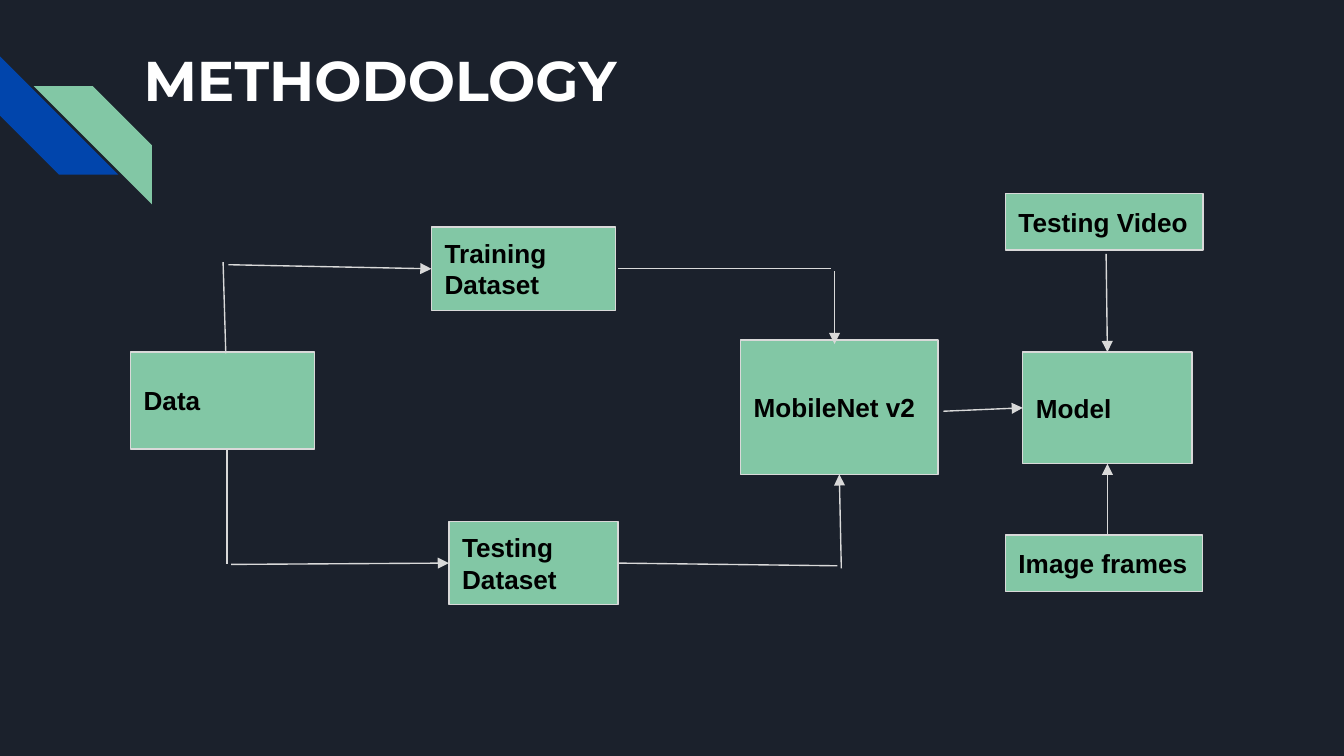
import lxml.etree
import pptx
import pptx.dml.color
import pptx.enum.shapes
import pptx.enum.text
import pptx.oxml.ns
import pptx.util

Inches = pptx.util.Inches
Kind = pptx.enum.shapes.MSO_SHAPE
Anchor = pptx.enum.text.MSO_ANCHOR
qn = pptx.oxml.ns.qn

DARK, BLUE, GREEN, GREY = "1B212C", "0145AC", "82C7A5", "D9D9D9"

# Name: kind, left, top, width, height inside the chart box
NODES = {
    "Data": (Kind.FLOWCHART_PROCESS, 0, 1.18, 1.37, 0.72),
    "Training Dataset": (Kind.RECTANGLE, 2.24, 0.25, 1.37, 0.62),
    "Testing Dataset": (Kind.RECTANGLE, 2.37, 2.44, 1.26, 0.62),
    "MobileNet v2": (Kind.RECTANGLE, 4.54, 1.09, 1.47, 1),
    "Model": (Kind.RECTANGLE, 6.64, 1.18, 1.26, 0.83),
    "Testing Video": (Kind.FLOWCHART_PROCESS, 6.51, 0, 1.47, 0.42),
    "Image frames": (Kind.RECTANGLE, 6.51, 2.54, 1.47, 0.42),
}

# Start, end, arrow; an end is a point or a node with its side
LINKS = [
    ((0.71, 1.19), (0.69, 0.51), False),
    ((0.73, 0.53), ("Training Dataset", 1), True),
    (("Testing Dataset", 3), (5.26, 2.77), False),
    ((3.63, 0.56), (5.21, 0.56), False),
    ((5.29, 2.79), ("MobileNet v2", 2), True),
    ((5.24, 0.58), (5.24, 1.12), True),
    ((0.75, 2.76), ("Testing Dataset", 1), True),
    ((0.72, 1.91), (0.72, 2.76), False),
    ((7.26, 0.45), ("Model", 0), True),
    ((7.27, 2.53), ("Model", 2), True),
    ((6.05, 1.62), ("Model", 1), True),
]


def color(code):
    return pptx.dml.color.RGBColor.from_string(code)


def write(shape, text, size=14, font="Arial", ink="000000", anchor=Anchor.MIDDLE):
    frame = shape.text_frame
    frame.word_wrap = True
    frame.vertical_anchor = anchor
    frame.margin_left = frame.margin_right = Inches(0.1)
    frame.margin_top = frame.margin_bottom = Inches(0.1)
    para = frame.paragraphs[0]
    para.alignment = pptx.enum.text.PP_ALIGN.LEFT
    run = para.add_run()
    run.text = text
    run.font.size = pptx.util.Pt(size)
    run.font.name = font
    run.font.bold = True
    run.font.color.rgb = color(ink)


def add_form(slide, kind, box, fill, edge=None):
    form = slide.shapes.add_shape(kind, *map(Inches, box))
    form.shadow.inherit = False
    form.fill.solid()
    form.fill.fore_color.rgb = color(fill)
    if edge:
        form.line.color.rgb = color(edge)
        form.line.width = pptx.util.Pt(0.75)
    else:
        form.line.fill.background()
    return form


def add_link(slide, x, y, nodes, start, end, arrow):
    link = slide.shapes.add_connector(
        pptx.enum.shapes.MSO_CONNECTOR.STRAIGHT, 0, 0, 0, 0)
    # Place free ends, join the others to their nodes
    if start[0] in nodes:
        link.begin_connect(nodes[start[0]], start[1])
    else:
        link.begin_x, link.begin_y = Inches(x + start[0]), Inches(y + start[1])
    if end[0] in nodes:
        link.end_connect(nodes[end[0]], end[1])
    else:
        link.end_x, link.end_y = Inches(x + end[0]), Inches(y + end[1])
    link.line.color.rgb = color(GREY)
    link.line.width = pptx.util.Pt(0.75)
    if arrow:
        tail = lxml.etree.SubElement(link.line._get_or_add_ln(), qn("a:tailEnd"))
        tail.set("type", "triangle")
    lxml.etree.SubElement(link._element.spPr, qn("a:effectLst"))


def add_stripes(slide, x, y, size):
    # Two diagonal bands, the second set right and down
    blue = add_form(slide, Kind.DIAGONAL_STRIPE, (x, y, size, size), BLUE)
    blue.rotation = 270
    green = add_form(slide, Kind.DIAGONAL_STRIPE,
                     (x + 0.25, y + 0.22, size, size), GREEN)
    green._element.spPr.find(qn("a:xfrm")).set("flipH", "1")


def add_title(slide, x, y, wide, high):
    box = slide.shapes.add_textbox(*map(Inches, (x, y, wide, high)))
    write(box, "METHODOLOGY", size=30, font="Montserrat", ink="FFFFFF",
          anchor=Anchor.TOP)


def add_flow(slide, x, y):
    # Labelled boxes
    nodes = {}
    for name, (kind, left, top, wide, high) in NODES.items():
        nodes[name] = add_form(slide, kind, (x + left, y + top, wide, high),
                               GREEN, GREY)
        write(nodes[name], name)
    # Lines and arrows
    for start, end, arrow in LINKS:
        add_link(slide, x, y, nodes, start, end, arrow)


def main():
    deck = pptx.Presentation()
    # Wide 16:9 slide
    deck.slide_width = Inches(10)
    deck.slide_height = Inches(10) * 9 // 16
    slide = deck.slides.add_slide(deck.slide_layouts[6])
    slide.background.fill.solid()
    slide.background.fill.fore_color.rgb = color(DARK)
    add_stripes(slide, 0, 0.42, 0.88)
    add_title(slide, 0.97, 0.24, 7.7, 1)
    add_flow(slide, 0.97, 1.44)
    deck.save("out.pptx")


if __name__ == "__main__":
    main()
